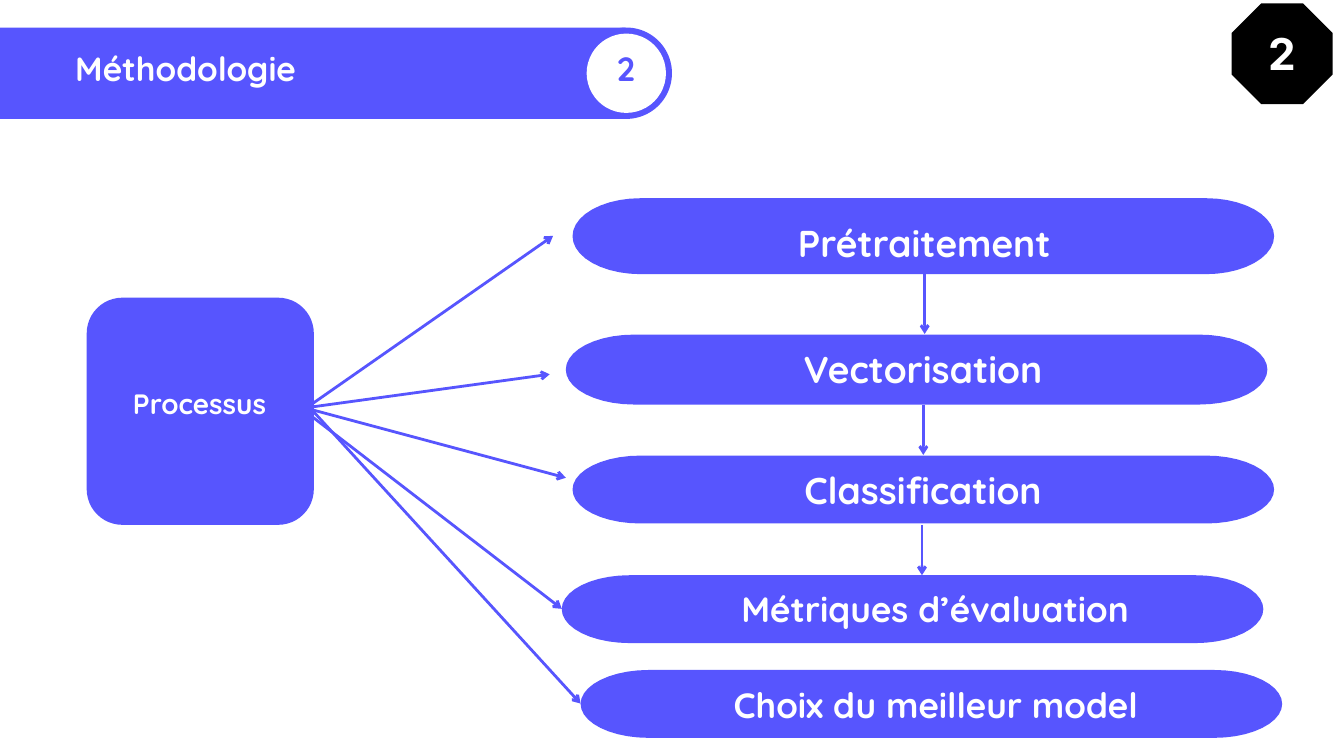
from dataclasses import dataclass
from math import cos, pi, sin

from lxml import etree
from pptx import Presentation
from pptx.dml.color import RGBColor
from pptx.enum.shapes import MSO_CONNECTOR, MSO_SHAPE
from pptx.enum.text import MSO_ANCHOR, PP_ALIGN
from pptx.oxml.ns import qn
from pptx.util import Inches, Pt

RECTANGLE = MSO_SHAPE.RECTANGLE
ROUNDED = MSO_SHAPE.ROUNDED_RECTANGLE
OVAL = MSO_SHAPE.OVAL
OCTAGON = MSO_SHAPE.OCTAGON
STRAIGHT = MSO_CONNECTOR.STRAIGHT
LEFT, CENTER = PP_ALIGN.LEFT, PP_ALIGN.CENTER
TOP, MIDDLE = MSO_ANCHOR.TOP, MSO_ANCHOR.MIDDLE


@dataclass(frozen=True)
class Theme:
    violet: RGBColor = RGBColor.from_string("5755FE")
    white: RGBColor = RGBColor.from_string("FFFFFF")
    black: RGBColor = RGBColor.from_string("000000")
    font: str = "Quicksand"
    badge_font: str = "Inter"
    title: float = 36
    step: float = 40
    long_step: float = 37.7
    process: float = 30
    badge: float = 47
    tight: float = 1.2
    loose: float = 1.8
    badge_leading: float = 1.4
    stroke: float = 3


class SlideBuilder:
    COLUMNS, ROWS = 20, 11.25
    PILL_WIDTH, PILL_END, ARC_STEPS = 10.44, 1.01, 20

    def __init__(self, deck, theme):
        self.theme = theme
        self.slide = deck.slides.add_slide(deck.slide_layouts[6])
        self.shapes = self.slide.shapes
        self.column = deck.slide_width / self.COLUMNS
        self.row = deck.slide_height / self.ROWS

    def place(self, x, y):
        return round(x * self.column), round(y * self.row)

    def paint(self, shape, color):
        shape.shadow.inherit = False
        shape.fill.solid()
        shape.fill.fore_color.rgb = color
        shape.line.fill.background()

    def block(self, kind, x, y, width, height, color, corner=None):
        shape = self.shapes.add_shape(kind, *self.place(x, y), *self.place(width, height))
        if corner is not None:
            shape.adjustments[0] = corner
        self.paint(shape, color)

    def pill(self, x, y, height):
        middle = y + height / 2
        ends = ((x + self.PILL_WIDTH - self.PILL_END, -pi / 2), (x + self.PILL_END, pi / 2))
        outline = []
        for center, start in ends:
            for step in range(self.ARC_STEPS + 1):
                angle = start + pi * step / self.ARC_STEPS
                outline.append(self.place(center + self.PILL_END * cos(angle),
                                          middle + height / 2 * sin(angle)))
        builder = self.shapes.build_freeform(*outline[0])
        builder.add_line_segments(outline[1:], close=True)
        self.paint(builder.convert_to_shape(), self.theme.violet)

    def text(self, words, x, y, width, height, size, leading, color=None,
             align=CENTER, anchor=TOP, font=None):
        frame = self.shapes.add_textbox(*self.place(x, y), *self.place(width, height)).text_frame
        frame.margin_left = frame.margin_right = frame.margin_top = frame.margin_bottom = 0
        frame.word_wrap = True
        frame.vertical_anchor = anchor
        frame.text = words
        paragraph = frame.paragraphs[0]
        paragraph.alignment = align
        paragraph.line_spacing = Pt(round(size * leading, 1))
        style = paragraph.runs[0].font
        style.name = font or self.theme.font
        style.size = Pt(size)
        style.bold = True
        style.color.rgb = color or self.theme.white

    def arrow(self, start, end):
        connector = self.shapes.add_connector(STRAIGHT, *self.place(*start), *self.place(*end))
        connector.line.color.rgb = self.theme.violet
        connector.line.width = Pt(self.theme.stroke)
        properties = connector.element.spPr
        etree.SubElement(properties.get_or_add_ln(), qn("a:tailEnd"), type="arrow")
        etree.SubElement(properties, qn("a:effectLst"))


def main():
    deck = Presentation()
    deck.slide_width, deck.slide_height = Inches(20), Inches(11.25)
    theme = Theme()
    page = SlideBuilder(deck, theme)

    page.block(RECTANGLE, 0, 0.41, 9.31, 1.36, theme.violet)
    page.block(OVAL, 8.64, 0.41, 1.36, 1.36, theme.violet)
    page.block(OVAL, 8.73, 0.5, 1.18, 1.18, theme.white)
    page.text("Méthodologie", 1.12, 0.71, 6.97, 0.68, theme.title, theme.tight, align=LEFT)
    page.text("2", 9.03, 0.71, 0.57, 0.68, theme.title, theme.tight, theme.violet)

    process_links = [
        ((4.66, 6), (8.23, 3.51)),
        ((4.54, 6.07), (8.18, 5.57)),
        ((4.54, 6.07), (8.42, 7.11)),
        ((4.54, 6.12), (8.36, 9.06)),
        ((4.66, 6.12), (8.64, 10.47)),
    ]
    for start, end in process_links:
        page.arrow(start, end)
    page.block(ROUNDED, 1.29, 4.43, 3.38, 3.38, theme.violet, corner=0.157)
    page.text("Processus", 1.4, 5.75, 3.14, 0.57, theme.process, theme.tight)

    steps = [
        ("Prétraitement", 8.52, 2.95, 1.13, (8.87, 2.94, 9.77, 1), theme.step),
        ("Vectorisation", 8.42, 4.98, 1.04, (8.85, 4.82, 9.77, 1), theme.step),
        ("Classification", 8.52, 6.78, 1.01, (8.85, 6.62, 9.77, 1), theme.step),
        ("Métriques d’évaluation", 8.36, 8.56, 1.01, (9.31, 8.42, 9.21, 0.93), theme.long_step),
        ("Choix du meilleur model", 8.64, 9.97, 1.01, (9.32, 9.85, 9.21, 0.93), theme.long_step),
    ]
    for label, x, y, height, label_area, size in steps:
        page.pill(x, y, height)
        page.text(label, *label_area, size, theme.loose)

    for x, top, bottom in ((13.76, 3.94, 4.97), (13.74, 6.02, 6.77), (13.72, 7.81, 8.56)):
        page.arrow((x, top), (x, bottom))

    page.block(OCTAGON, 18.33, 0.05, 1.5, 1.5, theme.black)
    page.text("2", 18.45, 0.01, 1.26, 1.42, theme.badge, theme.badge_leading,
              anchor=MIDDLE, font=theme.badge_font)

    deck.save("out.pptx")


if __name__ == "__main__":
    main()
